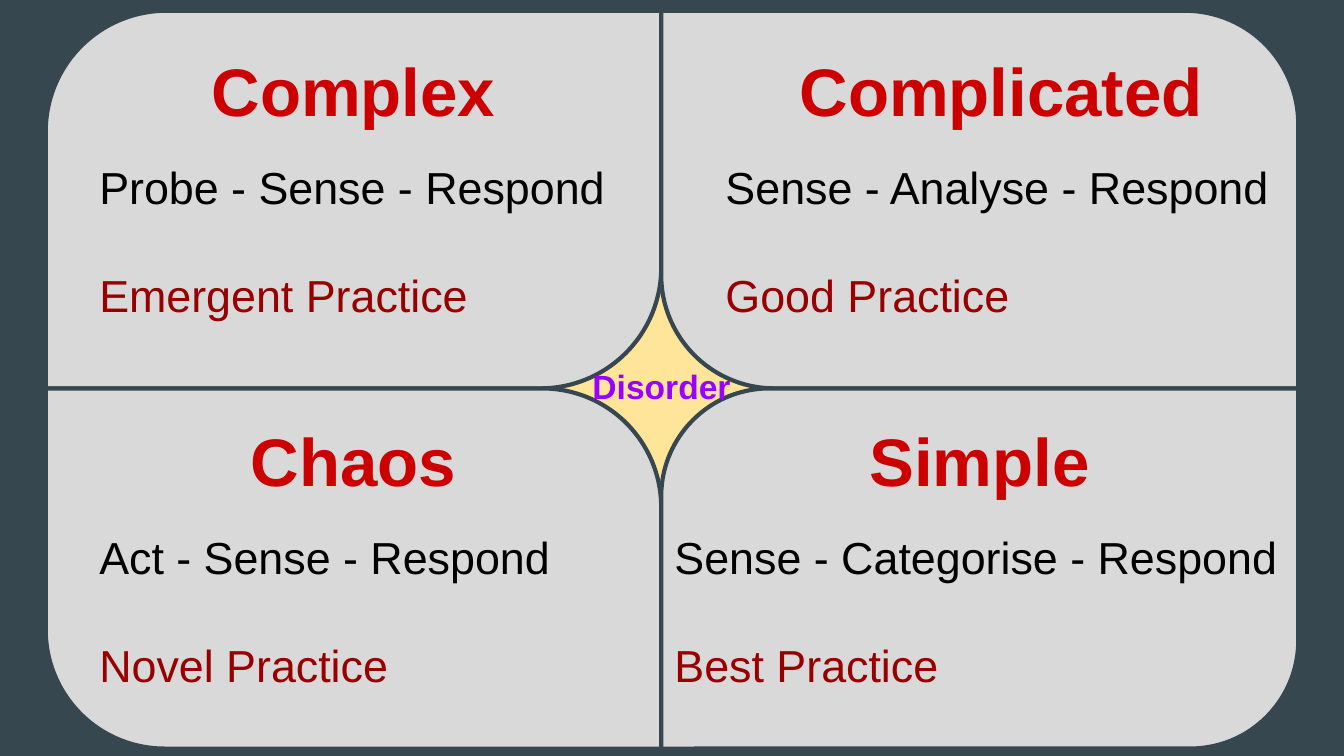
from pptx import Presentation
from pptx import util as u
from pptx.dml.color import RGBColor
from pptx.enum import shapes, text

HUES = {"slate": "37474F", "cream": "FFE599", "edge": "9E9E9E", "pane": "D9D9D9",
        "title": "CC0000", "steps": "000000", "practice": "980000", "disorder": "9900FF"}
FORMS = {
    "title": {"size": u.Pt(36), "bold": True},
    "steps": {"size": u.Pt(24), "bold": False},
    "practice": {"size": u.Pt(24), "bold": False},
    "disorder": {"size": u.Pt(18), "bold": True},
}
PARAS = {
    "title": {"alignment": text.PP_ALIGN.CENTER},
    "steps": {"space_before": u.Pt(16)},
    "practice": {"space_before": u.Pt(29)},
    "disorder": {"alignment": text.PP_ALIGN.LEFT},
}
FRAME = {"word_wrap": True, "vertical_anchor": text.MSO_ANCHOR.TOP,
         **{f"margin_{side}": u.Inches(0.1) for side in ("left", "right", "top", "bottom")}}
KINDS = shapes.MSO_SHAPE


class Deck:
    """Hold the style and the current slide, and draw each kind of element."""

    def __init__(self, wide, high):
        self.show = Presentation()
        self.show.slide_width, self.show.slide_height = u.Inches(wide), u.Inches(high)
        self.slide = self.show.slides.add_slide(self.show.slide_layouts[6])
        self.paint(self.slide.background.fill, "slate")

    def paint(self, fill, hue):
        fill.solid()
        fill.fore_color.rgb = RGBColor.from_string(HUES[hue])

    def dress(self, item, form):
        for name, value in form.items():
            setattr(item, name, value)

    def panel(self, kind, box, bends, hue, edge, width):
        shape = self.slide.shapes.add_shape(kind, *map(u.Inches, box))
        shape.shadow.inherit = False
        for spot, bend in enumerate(bends):
            shape.adjustments[spot] = bend
        self.paint(shape.fill, hue)
        self.paint(shape.line.fill, edge)
        shape.line.width = u.Pt(width)

    def label(self, box, lines):
        frame = self.slide.shapes.add_textbox(*map(u.Inches, box)).text_frame
        self.dress(frame, FRAME)
        for spot, (role, words) in enumerate(lines.items()):
            para = frame.add_paragraph() if spot else frame.paragraphs[0]
            self.dress(para, PARAS[role])
            run = para.add_run()
            run.text = words
            self.dress(run.font, {"name": "Arial", **FORMS[role]})
            run.font.color.rgb = RGBColor.from_string(HUES[role])


def main():
    deck = Deck(10, 10 * 9 / 16)
    left, mid, top, half = 0.34, 4.92, 0.08, 2.89
    west, east, north, south = 4.58, 4.74, 2.81, 2.68
    deck.panel(KINDS.ROUNDED_RECTANGLE, (left, top, west + east, 5.46), [0.17],
               "cream", "edge", 0.75)
    zones = [
        ((left, top, west, north), (0.32, 0), (0.64, 0.27, 3.98),
         "Complex", "Probe - Sense - Respond", "Emergent Practice"),
        ((mid, top, east, north), (0, 0.3), (5.3, 0.27, 4.3),
         "Complicated", "Sense - Analyse - Respond", "Good Practice"),
        ((left, half, west, south), (0, 0.33), (0.64, 3.02, 3.98),
         "Chaos", "Act - Sense - Respond", "Novel Practice"),
        ((mid, half, east, south), (0.3, 0), (mid, 3.02, east),
         "Simple", "Sense - Categorise - Respond", "Best Practice"),
    ]
    for box, bends, *_ in zones:
        deck.panel(KINDS.ROUND_2_DIAG_RECTANGLE, box, bends, "pane", "slate", 2.25)
    for _, _, spot, *words in reversed(zones):
        deck.label((*spot, 2.43), dict(zip(("title", "steps", "practice"), words)))
    deck.label((4.31, 2.62, 1.38, 0.57), {"disorder": "Disorder"})
    deck.show.save("out.pptx")


if __name__ == "__main__":
    main()
